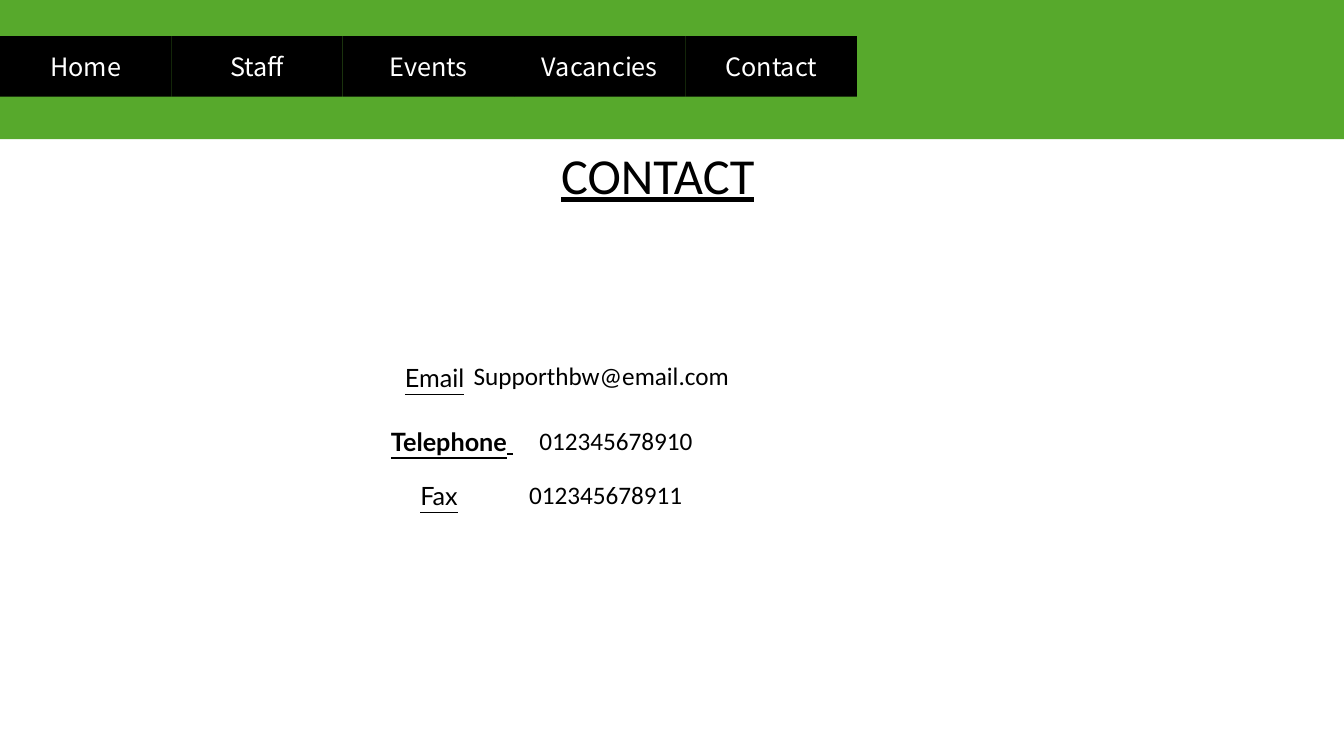
"""Build the contact page slide with its banner, tabs and details."""
from dataclasses import dataclass

from pptx import Presentation
from pptx.dml.color import RGBColor
from pptx.enum.shapes import MSO_SHAPE
from pptx.enum.text import MSO_ANCHOR, PP_ALIGN
from pptx.util import Inches, Pt


@dataclass(frozen=True)
class Theme:
    green: str = "57A92C"
    black: str = "000000"
    white: str = "FFFFFF"
    body: str = "Calibri"
    label: str = "Lato"
    tab: str = "Noto Sans CJK SC"
    head: int = 36
    text: int = 18


LOOK = Theme()
WIDE, HIGH = 13.33, 7.5
BANNER = 1.38
TAB_TOP, TAB_WIDE, TAB_HIGH = 0.36, 1.7, 0.6
LINE = 0.4

TITLE = "CONTACT"
TABS = ["Home", "Staff", "Events", "Vacancies", "Contact"]
LABELS = [
    (["Email"], (3.37, 3.55, 1.88, LINE), PP_ALIGN.CENTER, False),
    (["Telephone", " "], (3.78, 4.18, 2.43, LINE), PP_ALIGN.LEFT, True),
    (["Fax"], (4.07, 4.72, 1.68, LINE), PP_ALIGN.LEFT, False),
]
VALUES = [
    ("Supporthbw@email.com", (4.6, 3.53, 4.23, LINE)),
    ("012345678910", (5.25, 4.17, 2.39, LINE)),
    ("012345678911", (5.15, 4.71, 6.74, LINE)),
]


def write(shape, parts, face, size, color, align=PP_ALIGN.LEFT):
    frame = shape.text_frame
    frame.word_wrap = True
    para = frame.paragraphs[0]
    para.alignment = align
    for part in parts:
        para.add_run().text = part
    font = para.font
    font.name, font.size = face, Pt(size)
    font.color.rgb = RGBColor.from_string(color)
    return para


def block(slide, area, color):
    shape = slide.shapes.add_shape(MSO_SHAPE.RECTANGLE, *map(Inches, area))
    shape.shadow.inherit = False
    shape.fill.solid()
    shape.fill.fore_color.rgb = RGBColor.from_string(color)
    shape.line.fill.background()
    return shape


def label(slide, parts, area, face, size, align=PP_ALIGN.LEFT):
    box = slide.shapes.add_textbox(*map(Inches, area))
    return write(box, parts, face, size, LOOK.black, align)


def main():
    deck = Presentation()
    deck.slide_width, deck.slide_height = Inches(WIDE), Inches(HIGH)
    slide = deck.slides.add_slide(deck.slide_layouts[6])

    block(slide, (0, 0, WIDE, BANNER), LOOK.green)
    head = label(slide, [TITLE], (-0.14, BANNER, WIDE, 0.71),
                 LOOK.body, LOOK.head, PP_ALIGN.CENTER)
    head.font.underline = True

    for parts, area, align, bold in LABELS:
        para = label(slide, parts, area, LOOK.label, LOOK.text, align)
        para.font.underline = True
        para.font.bold = bold
        for tail in para.runs[1:]:
            tail.font.name = LOOK.body

    for value, area in VALUES:
        label(slide, [value], area, LOOK.body, LOOK.text)

    for col, name in enumerate(TABS):
        area = (col * TAB_WIDE, TAB_TOP, TAB_WIDE, TAB_HIGH)
        tab = block(slide, area, LOOK.black)
        tab.text_frame.vertical_anchor = MSO_ANCHOR.MIDDLE
        write(tab, [name], LOOK.tab, LOOK.text, LOOK.white, PP_ALIGN.CENTER)

    deck.save("out.pptx")


if __name__ == "__main__":
    main()
